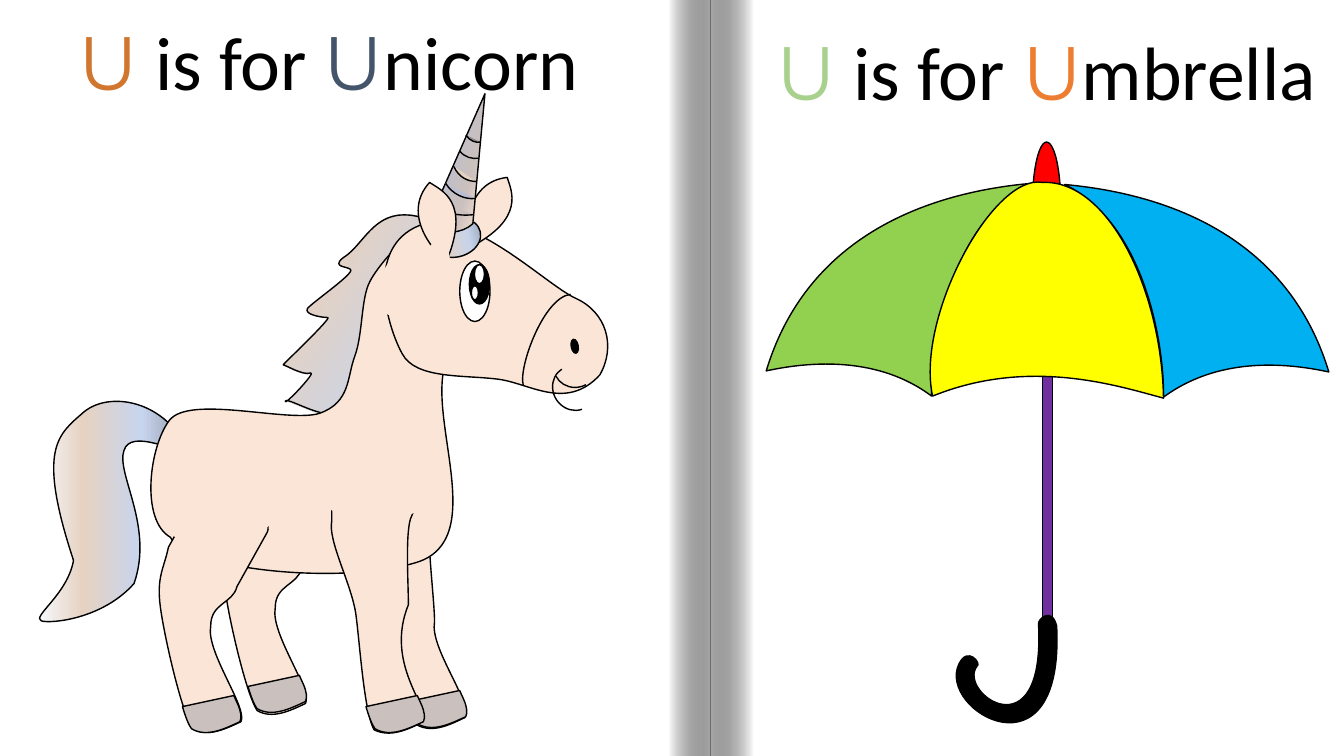
import math
from dataclasses import dataclass

import pptx
import pptx.dml.color
import pptx.enum.shapes
import pptx.enum.text
import pptx.oxml
import pptx.oxml.ns
import pptx.util

Inches = pptx.util.Inches
qn, nsdecls = pptx.oxml.ns.qn, pptx.oxml.ns.nsdecls
SHAPE = pptx.enum.shapes.MSO_SHAPE


@dataclass(frozen=True)
class Theme:
    black: str = "000000"
    white: str = "FFFFFF"
    coat: str = "FBE5D6"
    hoof: str = "CAC0BE"
    sand: str = "E6D2C2"
    lilac: str = "BABED1"
    grey: str = "8C8C8C"
    green: str = "92D050"
    blue: str = "00B0F0"
    yellow: str = "FFFF00"
    red: str = "FF0000"
    purple: str = "7030A0"
    capitals: tuple = (("D1762F", "44546A"), ("A9D18E", "ED7D31"))
    letter_font: str = "Montserrat"
    word_font: str = "Calibri"
    title_size: int = 54
    line_width: int = 1
    # Gradient stops: position %, colour, opacity %
    fold: tuple = ((0, "FFFFFF", 100), (100, "000000", 34))
    tail: tuple = ((0, "F6F8FC", 100), (29, "E6D2C2", 100), (69, "C7D5ED", 100), (100, "9097A9", 100))
    mane: tuple = ((0, "F6F8FC", 20), (29, "E6D2C2", 100), (69, "C7D5ED", 100), (100, "9097A9", 100))
    body: tuple = ((0, "F6F8FC", 100), (24, "FBE5D6", 100))
    horn: tuple = ((0, "F6F8FC", 100), (24, "FBE5D6", 100), (46, "CAC0BE", 100), (74, "BABED1", 100), (100, "9097A9", 100))


def rgb(color):
    return pptx.dml.color.RGBColor.from_string(color)


def rotate(x, y, degrees):
    c, s = math.cos(math.radians(degrees)), math.sin(math.radians(degrees))
    return x * c - y * s, x * s + y * c


def bounds(segments, steps=20):
    """Low and high corner of a path of lines (one point) and cubic curves (three points)."""
    seen = [segments[0][0]]
    for seg in segments[1:]:
        ends = [seen[-1], *seg]
        n = len(seg)
        for t in (i / steps for i in range(1, steps + 1)):
            weights = [math.comb(n, k) * t ** k * (1 - t) ** (n - k) for k in range(n + 1)]
            seen.append(tuple(sum(w * e[axis] for w, e in zip(weights, ends)) for axis in (0, 1)))
    return [min(v) for v in zip(*seen)], [max(v) for v in zip(*seen)]


class Page:
    def __init__(self, slide, theme):
        self.slide, self.theme, self.shapes = slide, theme, slide.shapes

    def start_group(self):
        self.shapes = self.slide.shapes.add_group_shape().shapes

    def paint(self, sp, fill, angle, line):
        """Fill with a colour, gradient stops or nothing, and outline in black or not."""
        sp.shadow.inherit = False
        if fill is None:
            sp.fill.background()
        elif isinstance(fill, str):
            sp.fill.solid()
            sp.fill.fore_color.rgb = rgb(fill)
        else:
            sp.fill.gradient()
            sp.fill.gradient_angle = -angle % 360
            stops = sp.element.spPr.find(".//" + qn("a:gsLst"))
            for stop in list(stops):
                stops.remove(stop)
            for pos, color, opacity in fill:
                stops.append(pptx.oxml.parse_xml(
                    f'<a:gs {nsdecls("a")} pos="{pos * 1000}"><a:srgbClr val="{color}">'
                    f'<a:alpha val="{opacity * 1000}"/></a:srgbClr></a:gs>'))
        if line:
            sp.line.color.rgb = rgb(self.theme.black)
            sp.line.width = pptx.util.Pt(self.theme.line_width)
        else:
            sp.line.fill.background()

    def preset(self, kind, at, fill=None, rot=0, angle=0, line=True):
        sp = self.shapes.add_shape(kind, *map(Inches, at))
        sp.rotation = rot
        self.paint(sp, fill, angle, line)
        return sp

    def ellipse(self, at, fill, rot=0, line=True):
        self.preset(SHAPE.OVAL, at, fill, rot, line=line)

    def outline(self, route, fill=None, rot=0, angle=0, close=True, shift=(0, 0)):
        """Draw a start, then lines (x y) and curves (x1 y1 x2 y2 x y); rot turns only the frame."""
        segments = []
        for part in route.split(","):
            n = [float(v) for v in part.split()]
            segments.append([rotate(x + shift[0], y + shift[1], -rot) for x, y in zip(n[::2], n[1::2])])
        low, high = bounds(segments)
        middle = [(a + b) / 2 for a, b in zip(low, high)]
        move = [a - b for a, b in zip(rotate(*middle, rot), middle)]
        start, end = ([Inches(a + b) for a, b in zip(corner, move)] for corner in (low, high))
        builder = self.shapes.build_freeform(*start)
        builder.add_line_segments([end], close=close)
        sp = builder.convert_to_shape()
        drawn = sp.element.spPr.find(".//" + qn("a:path"))
        for diagonal in list(drawn)[:2]:
            drawn.remove(diagonal)
        for i, seg in enumerate(segments):
            tag = "moveTo" if i == 0 else "lnTo" if len(seg) == 1 else "cubicBezTo"
            pts = "".join(f'<a:pt x="{Inches(x - low[0])}" y="{Inches(y - low[1])}"/>' for x, y in seg)
            drawn.insert(i, pptx.oxml.parse_xml(f'<a:{tag} {nsdecls("a")}>{pts}</a:{tag}>'))
        sp.rotation = rot
        self.paint(sp, fill, angle, True)

    def title(self, at, capitals, rest):
        th = self.theme
        tf = self.slide.shapes.add_textbox(*map(Inches, at)).text_frame
        tf.word_wrap = True
        tf.auto_size = pptx.enum.text.MSO_AUTO_SIZE.SHAPE_TO_FIT_TEXT
        p = tf.paragraphs[0]
        p.alignment = pptx.enum.text.PP_ALIGN.CENTER
        p.font.size = pptx.util.Pt(th.title_size)
        for capital, text in zip(capitals, (" is for ", rest)):
            for words, font, color in (("U", th.letter_font, capital), (text, th.word_font, th.black)):
                r = p.add_run()
                r.text, r.font.name, r.font.color.rgb = words, font, rgb(color)


def draw_book(page, th):
    page.start_group()
    page.preset(SHAPE.RECTANGLE, (0, 0, 13.33, 7.5), th.white, line=False)
    for left, angle in ((7.05, 180), (6.63, 0)):
        page.preset(SHAPE.RECTANGLE, (left, 0, 0.42, 7.5), th.fold, angle=angle, line=False)


def draw_unicorn(page, th):
    page.start_group()
    page.outline("0.41 6.16, 0.31 6.12 0.67 5.9 0.73 5.56, 0.36 4.44 0.58 4.31 0.83 4.09, 1.09 3.87 1.65 3.98 1.86 4.47,"
                 "1.77 4.51 1.3 4.24 1.23 4.47, 1.15 4.7 1.53 5.22 1.33 5.79, 1.02 6.14 0.51 6.19 0.41 6.16", th.tail)
    hind_leg = ("1.96 4.91, 1.99 4.85 2.07 4.83 2.14 4.86, 2.59 5.12, 2.66 5.16 2.68 5.24 2.64 5.3, 2.35 5.82,"
                "2.31 5.99 2.09 5.98 2.09 6.21, 2.04 6.47 2.46 7.02 2.39 7.16, 2.24 7.23 2.06 7.32 1.91 7.23,"
                "1.8 7.06 1.63 6.32 1.59 6.02, 1.55 5.72 1.63 5.63 1.67 5.43, 1.96 4.91")
    page.outline(hind_leg, th.coat, 29.3, shift=(0.64, -0.18))
    page.outline("3.87 4.75, 4.03 4.7 4.23 4.72 4.34 4.78, 4.41 4.93 4.36 4.91 4.27 5.09, 4.22 5.27 4.31 5.94 4.31 6.17,"
                 "4.26 6.43 4.69 6.97 4.61 7.12, 4.46 7.19 4.29 7.28 4.13 7.19, 4.03 7.02 3.85 6.27 3.81 5.97,"
                 "3.77 5.67 3.74 5.45 3.78 5.25, 3.87 4.75", th.coat, 29.3)
    # Mane and body
    page.outline("4.33 2.21, 4.74 2.51, 4.12 3.44, 3.79 4.09, 3.63 4.08 3.76 4.13 3.4 4.06, 3.28 4.22 2.85 3.93 2.83 3.98,"
                 "2.81 4.04 3.15 3.68 3.08 3.7, 3.01 3.73 2.83 3.62 2.81 3.62, 2.79 3.63 3.31 3.14 3.25 3.15,"
                 "3.19 3.15 3.01 3.12 3.05 3.06, 3.1 3 3.49 2.73 3.48 2.68, 3.47 2.64 3.28 2.66 3.4 2.56,"
                 "3.65 2.41 3.73 1.95 4.33 2.21", th.mane, 33.5)
    page.outline("3.52 3.53, 3.6 3.31 3.58 2.95 3.67 2.79, 3.75 2.63 4.12 2.19 4.25 2.32, 4.38 2.44 4.44 3.02 4.44 3.55,"
                 "4.19 4.09 4.88 5.35 4.13 5.58, 3.38 5.81 1.86 5.65 1.69 5.33, 1.39 5.16 1.48 4.43 1.68 4.17,"
                 "1.88 3.91 2.87 4.2 3.17 4.1, 3.48 3.99 3.44 3.74 3.52 3.53", th.body, angle=45)
    # Near legs and hooves
    page.outline(hind_leg, th.coat, 29.3)
    page.outline("3.29 4.77, 3.45 4.72 3.95 4.67 4.07 4.74, 4.14 4.89 4.15 4.97 4.07 5.15, 4.02 5.33 4.05 5.77 4.05 6,"
                 "3.81 6.59 4.27 7.02 4.2 7.16, 4.04 7.24 3.87 7.32 3.71 7.24, 3.61 7.06 3.57 6.4 3.53 6.1,"
                 "3.49 5.8 3.25 5.37 3.29 5.17, 3.29 4.77", th.coat, 29.3)
    for shift in ((0, 0), (0.65, -0.2), (2.24, -0.05), (1.82, 0)):
        page.outline("2.32 6.9, 2.36 6.99, 2.39 7.06 2.4 7.12 2.38 7.16, 2.23 7.23 2.05 7.32 1.9 7.23,"
                     "1.87 7.19 1.84 7.11 1.81 7.01, 2.32 6.9", th.hoof, 348.1, shift=shift)
    # Head, far ear and forelock
    page.outline("4.11 2.26, 4.6 2 5.4 2.82 5.71 2.96, 6.02 3.1 6.11 3.44 5.95 3.72, 5.61 4.09 5.24 3.79 4.92 3.76,"
                 "4.59 3.72 4.12 3.76 3.99 3.51, 3.85 3.26 3.62 2.51 4.11 2.26", th.coat, 29)
    page.outline("4.65 2.46, 5.22 2.17 5.07 1.89 5.03 1.76, 4.6 1.81 4.61 2.34 4.65 2.46", th.coat, 110.6)
    page.ellipse((4.26, 2.16, 0.51, 0.39), th.mane, 347.3)
    # Joints, eye, nostril and mouth
    page.ellipse((1.65, 4.76, 1.17, 0.64), th.coat, 345.4, line=False)
    page.ellipse((3.14, 4.57, 1.17, 0.59), th.coat, line=False)
    page.ellipse((4.41, 2.74, 0.6, 0.3), th.white, 90)
    page.preset(SHAPE.ARC, (5.49, 3.42, 0.45, 0.42), rot=152.6)
    page.ellipse((5.63, 3.4, 0.14, 0.07), th.black, 79.3)
    page.ellipse((4.56, 2.72, 0.39, 0.2), th.black, 90)
    page.ellipse((3.62, 2.71, 0.56, 0.28), th.coat, 98.1, line=False)
    smile = page.preset(SHAPE.ARC, (5.47, 3.64, 0.45, 0.42), rot=237)
    smile.adjustments[0] = 192.94 * 0.6  # degrees to adjustment units
    for at in ((4.66, 2.67, 0.19, 0.1), (4.64, 2.87, 0.14, 0.07)):
        page.ellipse(at, th.white, 90)
    page.outline("5.19 3.82, 5.14 3.65 5.39 2.95 5.66 2.92", close=False)
    # Horn with its rings, then the near ear
    page.outline("4.22 2.27, 4.81 0.93, 4.69 2.22, 4.58 2.32 4.43 2.32 4.22 2.27", th.horn, 17.2, 180)
    for ring, color in (("4.62 1.34, 4.66 1.4 4.72 1.42 4.77 1.41", th.grey), ("4.56 1.5, 4.61 1.56 4.68 1.58 4.75 1.57", th.hoof),
                        ("4.5 1.65, 4.55 1.76 4.64 1.8 4.72 1.8", th.sand), ("4.42 1.82, 4.49 1.93 4.61 1.98 4.71 1.97", th.lilac),
                        ("4.24 1.96, 4.33 2.11 4.54 2.15 4.7 2.13", th.hoof)):
        page.outline(ring, color, close=False)
    page.outline("4.43 2.59, 4.67 2 4.38 1.89 4.26 1.81, 3.97 2.13 4.32 2.52 4.43 2.59", th.coat, 70)
    page.ellipse((4.04, 2.53, 0.56, 0.28), th.coat, 98.1, line=False)


def draw_umbrella(page, th):
    page.start_group()
    page.preset(SHAPE.RECTANGLE, (10.34, 2.09, 0.1, 4.25), th.purple)
    page.ellipse((10.24, 1.41, 0.28, 1.22), th.red)
    for panel, color, rot in (
            ("7.6 3.68, 8.05 2.19 9.46 1.89 10.22 1.82, 9.41 2.22 9.23 3.47 9.24 3.93, 8.72 3.54 8.06 3.58 7.6 3.68", th.green, 42.3),
            ("13.18 3.69, 12.73 2.2 11.32 1.9 10.56 1.83, 11.38 2.23 11.55 3.48 11.54 3.94, 12.07 3.55 12.72 3.59 13.18 3.69", th.blue, 317.7),
            ("11.54 3.95, 11.52 2.87 10.99 1.78 10.34 1.81, 9.85 1.72 9.08 3.15 9.25 3.93, 10.21 3.54 11.09 3.83 11.54 3.95", th.yellow, 317.7),
            ("9.69 6.61, 9.49 6.87 10.37 7.5 10.3 6.19, 10.29 6.15 10.43 6.01 10.48 6.21, 10.56 7.79 9.29 7.05 9.51 6.59,"
             "9.6 6.4 9.74 6.59 9.69 6.61", th.black, 0)):
        page.outline(panel, color, rot)


prs = pptx.Presentation()
prs.slide_width, prs.slide_height = Inches(13.33), Inches(7.5)
theme = Theme()
page = Page(prs.slides.add_slide(prs.slide_layouts[6]), theme)
page.slide.background.fill.solid()
page.slide.background.fill.fore_color.rgb = rgb(theme.black)
draw_book(page, theme)
page.title((7.23, 0.2, 6.29, 1.01), theme.capitals[1], "mbrella")
page.title((0, 0.1, 6.68, 1.01), theme.capitals[0], "nicorn ")
draw_unicorn(page, theme)
draw_umbrella(page, theme)
prs.save("out.pptx")
